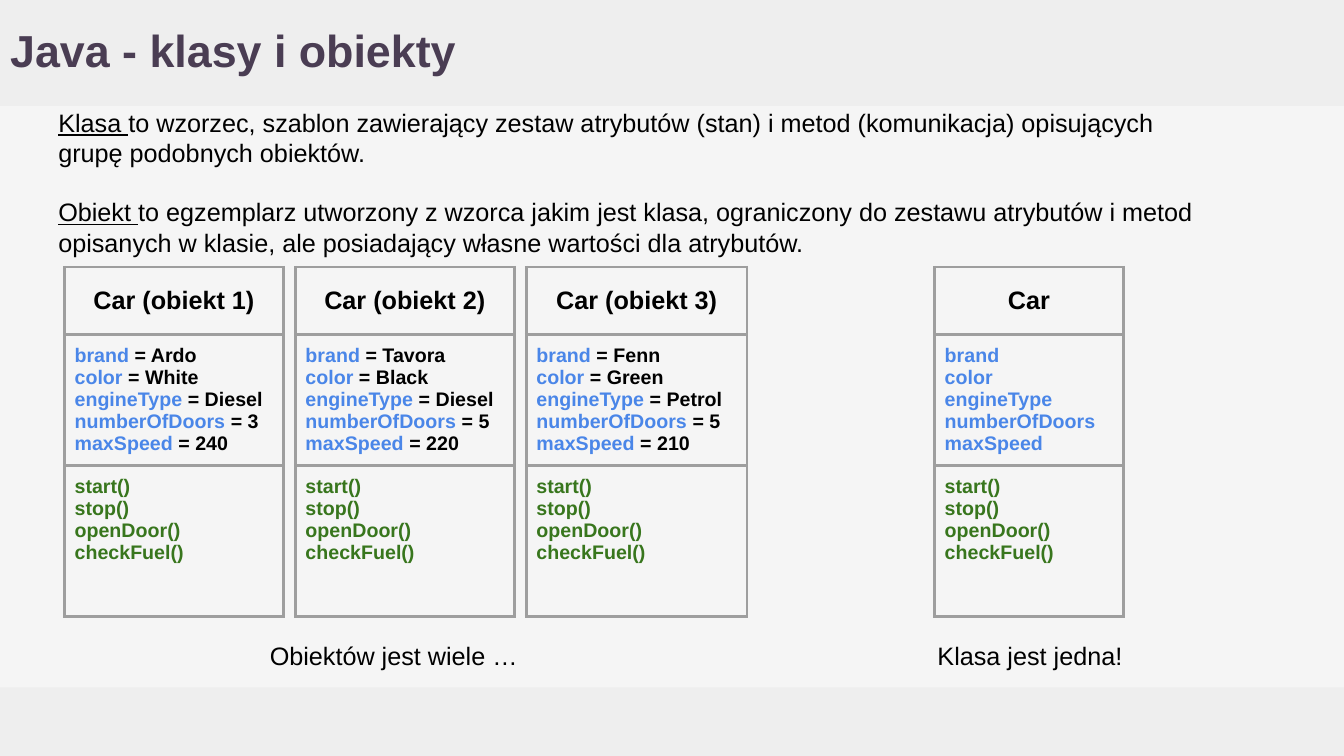
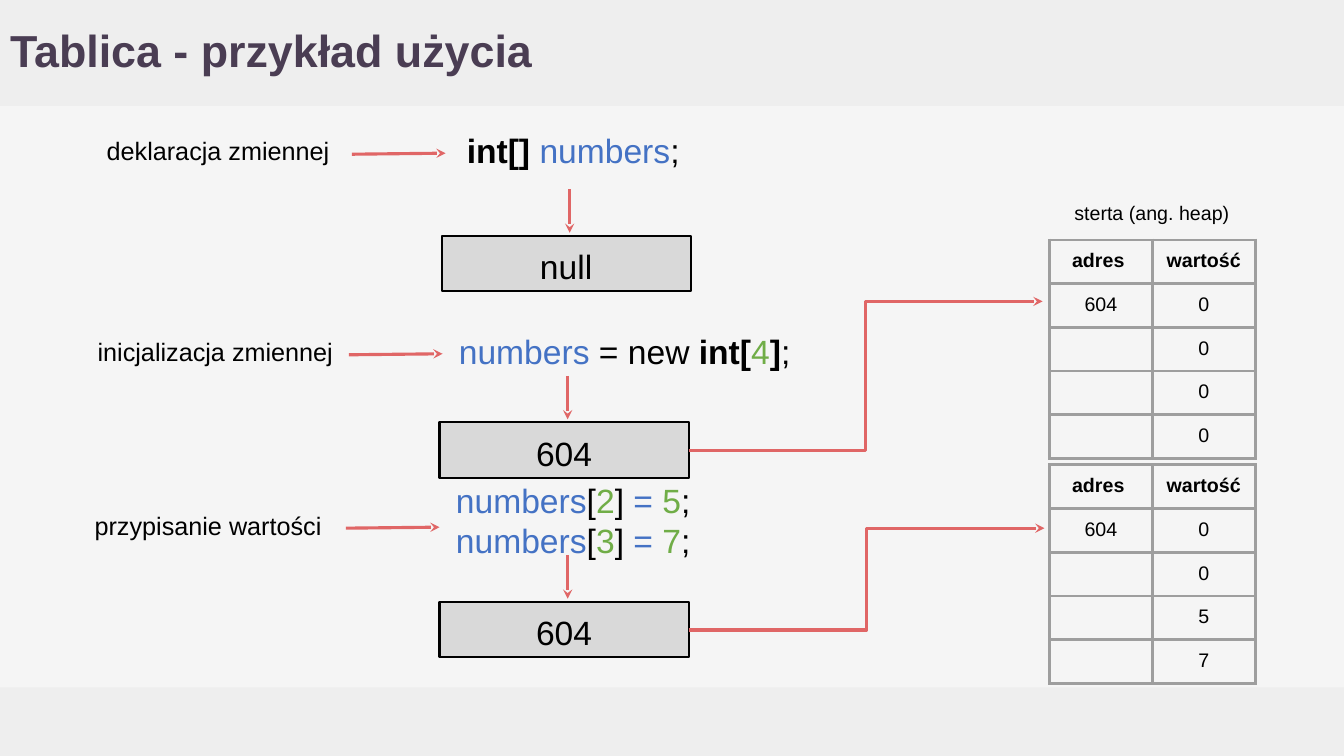
from dataclasses import dataclass
from typing import NamedTuple, Optional

from lxml.etree import SubElement
from pptx import Presentation
from pptx.dml.color import RGBColor as Rgb
from pptx.enum.shapes import MSO_CONNECTOR as Connector, MSO_SHAPE as Preset
from pptx.enum.text import MSO_ANCHOR as Anchor, MSO_AUTO_SIZE as AutoSize, PP_ALIGN as Align
from pptx.oxml.ns import qn
from pptx.slide import Slide, SlideLayout
from pptx.text.text import TextFrame
from pptx.util import Emu, Pt


@dataclass(frozen=True)
class Theme:
    font: str = "Arial"
    backdrop: str = "F5F5F5"
    band: str = "EEEEEE"
    title: str = "4A3D53"
    ink: str = "000000"
    attribute: str = "4A86E8"
    method: str = "38761D"
    variable: str = "4472C4"
    number: str = "70AD47"
    value_fill: str = "D9D9D9"
    arrow: str = "E06666"
    grid: str = "9E9E9E"
    title_pt: int = 32
    code_pt: int = 24
    body_pt: int = 18
    small_pt: int = 14
    line_pt: float = 2.25
    outline_pt: float = 1.5


THEME = Theme()
EMU_PER_PX = 9144
WIDTH, HEIGHT = 1333, 750
TITLE_WIDTH, TITLE_HEIGHT = 1192, 105
FOOTER_TOP = 682
PADDING = 10


class Span(NamedTuple):
    text: str
    color: str = THEME.ink
    bold: bool = False
    underline: bool = False


class Box(NamedTuple):
    left: int
    top: int
    width: int
    height: int


Lines = list[list[Span]]


@dataclass(frozen=True)
class CarCard:
    heading: str
    left: int
    width: int
    values: Optional[tuple[str, ...]] = None


@dataclass(frozen=True)
class Step:
    label: str
    label_left: int
    label_top: int
    arrow_x: int
    arrow_y: int
    code: Lines
    code_box: Box
    value: str
    value_left: int
    value_top: int


@dataclass(frozen=True)
class Heap:
    top: int
    values: tuple[int, ...]
    pointer_start_y: int
    pointer_end_x: int
    pointer_end_y: int


ATTRIBUTES = ("brand", "color", "engineType", "numberOfDoors", "maxSpeed")
METHODS = ("start()", "stop()", "openDoor()", "checkFuel()")
CARD_TOP = 265
CARD_ROWS = [67, 130, 150]
CARDS = [
    CarCard("Car (obiekt 1)", 64, 217, ("Ardo", "White", "Diesel", "3", "240")),
    CarCard("Car (obiekt 2)", 293, 217, ("Tavora", "Black", "Diesel", "5", "220")),
    CarCard("Car (obiekt 3)", 522, 219, ("Fenn", "Green", "Petrol", "5", "210")),
    CarCard("Car", 927, 187),
]

NUMBERS = Span("numbers", THEME.variable)
SEMICOLON = Span(";")


def assignment(index: int, value: int) -> list[Span]:
    return [NUMBERS, Span("["), Span(str(index), THEME.number), Span("]"),
            Span(" = ", THEME.variable), Span(str(value), THEME.number), SEMICOLON]


STEPS = [
    Step("deklaracja zmiennej", 96, 124, 442, 152,
         [[Span("int[] ", bold=True), NUMBERS, SEMICOLON]],
         Box(348, 119, 441, 55), "null", 438, 234),
    Step("inicjalizacja zmiennej", 87, 324, 439, 351,
         [[Span("numbers ", THEME.variable), Span("= new "), Span("int[", bold=True),
           Span("4", THEME.number), Span("]", bold=True), SEMICOLON]],
         Box(399, 318, 441, 55), "604", 436, 419),
    Step("przypisanie wartości", 84, 496, 436, 523,
         [assignment(2, 5), assignment(3, 7)],
         Box(348, 466, 441, 77), "604", 436, 597),
]
HEAPS = [
    Heap(238, (0, 0, 0, 0), 447, 1034, 299),
    Heap(461, (0, 0, 5, 7), 625, 1036, 524),
]
HEAP_LEFT, HEAP_COLUMN, HEAP_ROW = 1041, 102, 42
VALUE_WIDTH, VALUE_HEIGHT = 247, 55


def px(length: int) -> Emu:
    return Emu(length * EMU_PER_PX)


def place(box: Box) -> list[Emu]:
    return [px(length) for length in box]


def rgb(color: str) -> Rgb:
    return Rgb.from_string(color)


def write(frame: TextFrame, lines: Lines, size: int, align: Align = Align.LEFT,
          gap: int = 0) -> None:
    for index, spans in enumerate(lines):
        paragraph = frame.add_paragraph() if index else frame.paragraphs[0]
        paragraph.alignment = align
        if index and gap:
            paragraph.space_before = Pt(gap)
        for span in spans:
            run = paragraph.add_run()
            run.text = span.text
            font = run.font
            font.name, font.size = THEME.font, Pt(size)
            font.bold, font.underline = span.bold, span.underline
            font.color.rgb = rgb(span.color)


def pad(frame: TextFrame, anchor: Anchor) -> None:
    frame.word_wrap = True
    frame.vertical_anchor = anchor
    frame.margin_left = frame.margin_right = px(PADDING)
    frame.margin_top = frame.margin_bottom = px(PADDING)


def add_text(slide: Slide, box: Box, lines: Lines, size: int, align: Align = Align.LEFT,
             anchor: Anchor = Anchor.TOP, gap: int = 0) -> None:
    frame = slide.shapes.add_textbox(*place(box)).text_frame
    pad(frame, anchor)
    write(frame, lines, size, align, gap)


def add_arrow(slide: Slide, start: tuple[int, int], end: tuple[int, int],
              kind: Connector = Connector.STRAIGHT) -> None:
    arrow = slide.shapes.add_connector(kind, *map(px, start + end))
    arrow.line.color.rgb = rgb(THEME.arrow)
    arrow.line.width = Pt(THEME.line_pt)
    properties = arrow._element.spPr
    SubElement(properties.find(qn("a:ln")), qn("a:tailEnd"), type="stealth")
    SubElement(properties, qn("a:effectLst"))


def add_grid(slide: Slide, left: int, top: int, columns: list[int], rows: list[int],
             cells: list[list[Lines]], sizes: list[int], aligns: list[Align],
             anchors: list[Anchor]) -> None:
    box = Box(left, top, sum(columns), sum(rows))
    table = slide.shapes.add_table(len(rows), len(columns), *place(box)).table
    table.first_row = table.horz_banding = False
    for column, width in zip(table.columns, columns):
        column.width = px(width)
    for index, (row, height) in enumerate(zip(table.rows, rows)):
        row.height = px(height)
        for cell, lines in zip(row.cells, cells[index]):
            cell.margin_left = cell.margin_right = px(PADDING)
            cell.margin_top = cell.margin_bottom = px(PADDING)
            cell.vertical_anchor = anchors[index]
            properties = cell._tc.get_or_add_tcPr()
            for edge in ("lnL", "lnR", "lnT", "lnB"):
                border = SubElement(properties, qn(f"a:{edge}"), w=str(Pt(THEME.line_pt)))
                fill = SubElement(border, qn("a:solidFill"))
                SubElement(fill, qn("a:srgbClr"), val=THEME.grid)
            cell.fill.background()
            write(cell.text_frame, lines, sizes[index], aligns[index])
            if not lines:
                SubElement(cell.text_frame.paragraphs[0]._p, qn("a:endParaRPr"),
                           sz=str(sizes[index] * 100))


def add_card(slide: Slide, card: CarCard) -> None:
    attributes = [[Span(name, THEME.attribute, True)] for name in ATTRIBUTES]
    for line, value in zip(attributes, card.values or ()):
        line.append(Span(f" = {value}", bold=True))
    methods = [[Span(name, THEME.method, True)] for name in METHODS]
    add_grid(slide, card.left, CARD_TOP, [card.width], CARD_ROWS,
             [[[[Span(card.heading, bold=True)]]], [attributes], [methods]],
             [THEME.body_pt, THEME.small_pt, THEME.small_pt],
             [Align.CENTER, Align.LEFT, Align.LEFT],
             [Anchor.MIDDLE, Anchor.TOP, Anchor.TOP])


def add_step(slide: Slide, step: Step) -> None:
    add_text(slide, Box(step.label_left, step.label_top, 254, 55),
             [[Span(step.label)]], THEME.body_pt)
    add_arrow(slide, (step.arrow_x - 93, step.arrow_y + 1), (step.arrow_x, step.arrow_y))
    add_text(slide, step.code_box, step.code, THEME.code_pt, Align.CENTER)
    middle = step.value_left + 127
    add_arrow(slide, (middle, step.value_top - 46), (middle, step.value_top - 3))
    box = Box(step.value_left, step.value_top, VALUE_WIDTH, VALUE_HEIGHT)
    value = slide.shapes.add_shape(Preset.RECTANGLE, *place(box))
    value.shadow.inherit = False
    value.fill.solid()
    value.fill.fore_color.rgb = rgb(THEME.value_fill)
    value.line.color.rgb = rgb(THEME.ink)
    value.line.width = Pt(THEME.outline_pt)
    pad(value.text_frame, Anchor.TOP)
    write(value.text_frame, [[Span(step.value)]], THEME.code_pt, Align.CENTER)


def add_heap(slide: Slide, heap: Heap) -> None:
    cells = [[[[Span("adres ", bold=True)]], [[Span("wartość", bold=True)]]]]
    for index, value in enumerate(heap.values):
        cells.append([[] if index else [[Span("604")]], [[Span(str(value))]]])
    count = len(cells)
    add_grid(slide, HEAP_LEFT, heap.top, [HEAP_COLUMN] * 2, [HEAP_ROW] * count, cells,
             [THEME.small_pt] * count, [Align.CENTER] * count, [Anchor.TOP] * count)
    add_arrow(slide, (683, heap.pointer_start_y),
              (heap.pointer_end_x, heap.pointer_end_y), Connector.ELBOW)


def add_bands(slide: Slide, layout: SlideLayout) -> None:
    bands = [Box(0, 0, WIDTH, TITLE_HEIGHT), Box(0, FOOTER_TOP, WIDTH, HEIGHT - FOOTER_TOP)]
    for number, box in enumerate(bands, 101):
        band = slide.shapes.add_shape(Preset.RECTANGLE, *place(box))
        band.shadow.inherit = False
        band.fill.solid()
        band.fill.fore_color.rgb = rgb(THEME.band)
        band.line.fill.background()
        band._element.nvSpPr.cNvPr.set("id", str(number))
        layout.shapes._spTree.insert(2, band._element)


def add_titled_slide(deck: Presentation, layout: SlideLayout, heading: str) -> Slide:
    slide = deck.slides.add_slide(layout)
    title = slide.shapes.title
    title.left, title.top, title.width, title.height = place(
        Box(0, 0, TITLE_WIDTH, TITLE_HEIGHT))
    frame = title.text_frame
    pad(frame, Anchor.MIDDLE)
    frame.auto_size = AutoSize.NONE
    write(frame, [[Span(heading, THEME.title, True)]], THEME.title_pt)
    frame.paragraphs[0].line_spacing = 0.9
    return slide


def main() -> None:
    deck = Presentation()
    deck.slide_width, deck.slide_height = px(WIDTH), px(HEIGHT)
    backdrop = deck.slide_master.background.fill
    backdrop.solid()
    backdrop.fore_color.rgb = rgb(THEME.backdrop)
    layout = deck.slide_layouts.get_by_name("Title Only")

    classes = add_titled_slide(deck, layout, "Java - klasy i obiekty")
    add_bands(classes, layout)
    for card in CARDS:
        add_card(classes, card)
    add_text(classes, Box(48, 96, 1153, 85), [
        [Span("Klasa ", underline=True),
         Span("to wzorzec, szablon zawierający zestaw atrybutów (stan) i metod "
              "(komunikacja) opisujących grupę podobnych obiektów.")],
        [Span("Obiekt ", underline=True),
         Span("to egzemplarz utworzony z wzorca jakim jest klasa, ograniczony do zestawu "
              "atrybutów i metod opisanych w klasie, ale posiadający własne wartości "
              "dla atrybutów.")],
    ], THEME.body_pt, gap=21)
    for caption, box in (("Obiektów jest wiele … ", Box(68, 625, 652, 39)),
                         ("Klasa jest jedna!", Box(889, 625, 265, 39))):
        add_text(classes, box, [[Span(caption)]], THEME.body_pt, Align.CENTER)

    arrays = add_titled_slide(deck, layout, "Tablica - przykład użycia")
    for step in STEPS:
        add_step(arrays, step)
    add_text(arrays, Box(1037, 192, 211, 38), [[Span("sterta (ang. heap)")]],
             THEME.small_pt, Align.CENTER, Anchor.MIDDLE)
    for heap in HEAPS:
        add_heap(arrays, heap)

    deck.save("out.pptx")


if __name__ == "__main__":
    main()
